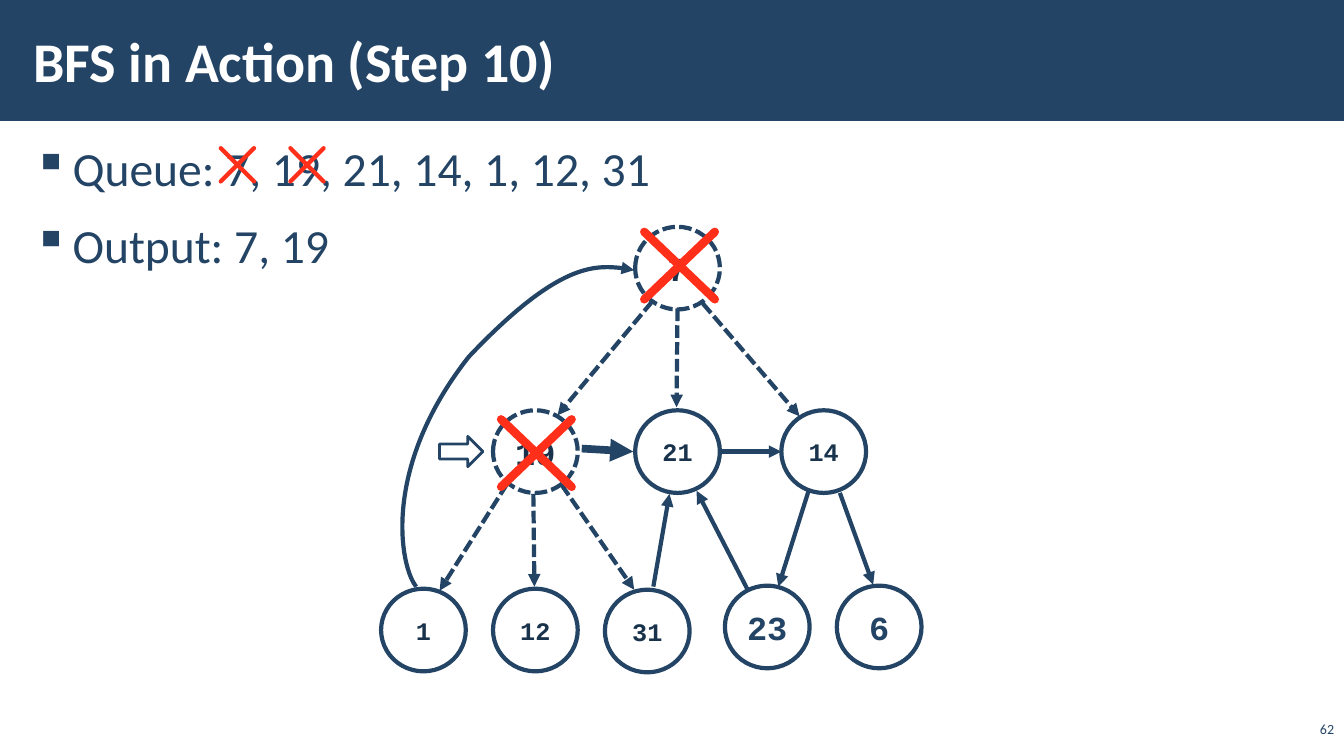
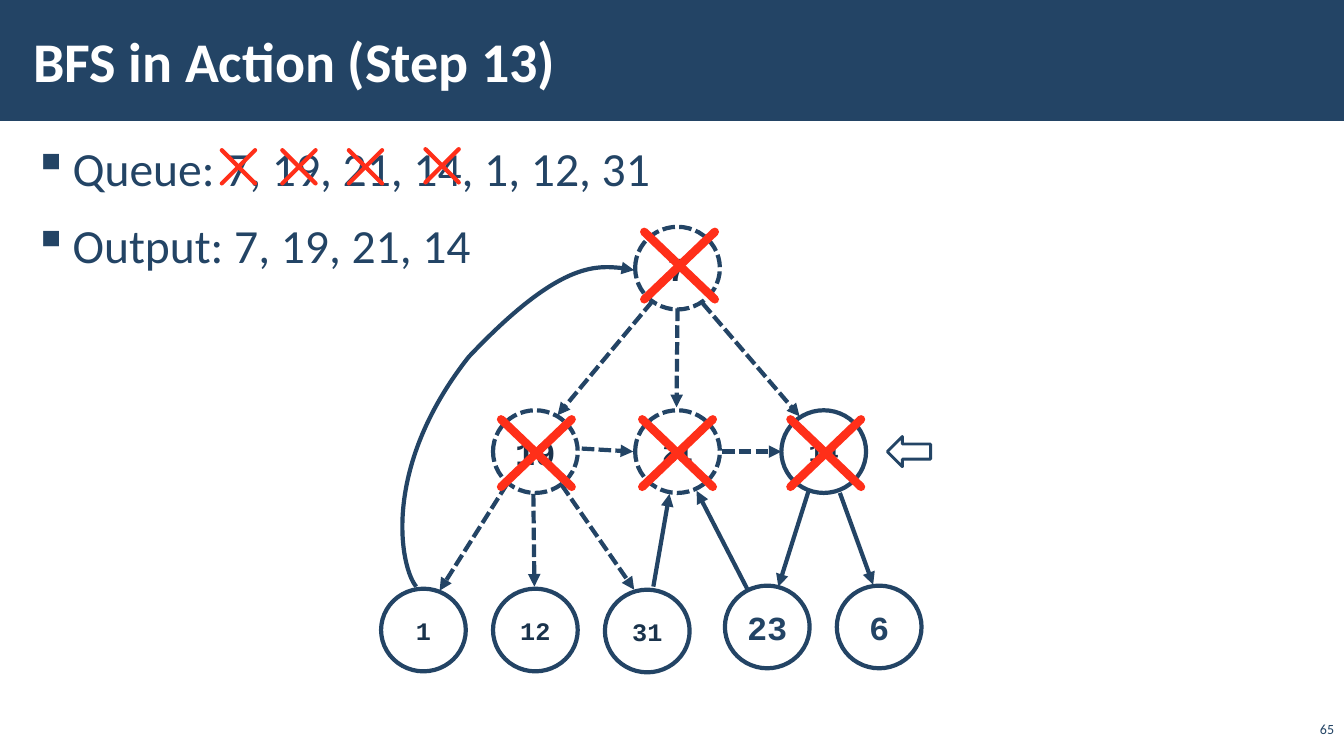
from lxml import etree
from pptx import Presentation
from pptx.dml.color import RGBColor
from pptx.enum.dml import MSO_LINE
from pptx.enum.shapes import MSO_CONNECTOR, MSO_SHAPE
from pptx.enum.text import MSO_ANCHOR, PP_ALIGN
from pptx.oxml.ns import qn
from pptx.util import Emu, Pt

PX = 9144  # 100 px to the inch
DASH = MSO_LINE.SQUARE_DOT
LINE = MSO_CONNECTOR.STRAIGHT
RECT, OVAL, ARROW = MSO_SHAPE.RECTANGLE, MSO_SHAPE.OVAL, MSO_SHAPE.RIGHT_ARROW
TOP, MID, LOW = MSO_ANCHOR.TOP, MSO_ANCHOR.MIDDLE, MSO_ANCHOR.BOTTOM
LEFT, MIDDLE, RIGHT = PP_ALIGN.LEFT, PP_ALIGN.CENTER, PP_ALIGN.RIGHT

COLORS = {"navy": "234465", "ink": "1A334C", "red": "FF2F19", "white": "FFFFFF"}

# Text styles
FONTS = {
    "title": {"name": "Calibri", "size": Pt(40), "bold": True},
    "body": {"name": "Calibri", "size": Pt(34)},
    "number": {"name": "Calibri", "size": Pt(10)},
    "big": {"name": "Courier New", "size": Pt(24), "bold": True},
    "small": {"name": "Courier New", "size": Pt(18), "bold": True},
}
BULLET = {"line_spacing": 1.05, "space_before": Pt(6), "space_after": Pt(6)}
INSET = {"margin_left": 12, "margin_right": 12, "margin_top": 4, "margin_bottom": 4}

# Graph: label -> left, top, font, font colour, opacity
NODES = {
    "7": (630, 225, "big", "ink", 70),
    "19": (489, 407, "big", "ink", 70),
    "21": (630, 407, "small", "ink", 70),
    "14": (775, 407, "small", "ink", 70),
    "1": (378, 584, "small", "ink", 70),
    "12": (489, 584, "small", "ink", 70),
    "31": (600, 585, "small", "ink", 70),
    "23": (719, 581, "big", "navy", 50),
    "6": (830, 581, "big", "navy", 50),
}
NODE_W, NODE_H = 84, 82
# Edge: from, to, x1, y1, x2, y2
EDGES = [
    ("7", "19", 647, 299, 553, 412),
    ("7", "21", 672, 306, 671, 404),
    ("7", "14", 697, 301, 793, 413),
    ("19", "1", 503, 480, 436, 586),
    ("19", "12", 529, 490, 530, 582),
    ("19", "31", 557, 481, 629, 585),
    ("19", "21", 577, 445, 628, 448),
    ("21", "14", 716, 448, 775, 448),
    ("14", "23", 802, 487, 772, 582),
    ("14", "6", 833, 489, 866, 580),
    ("31", "21", 648, 582, 664, 490),
    ("23", "21", 741, 584, 691, 487),
]
# Back edge from 1 to 7: start, then three points for each Bezier part
CURVE = [(413, 582), (398, 565), (376, 467), (465, 354),
         (554, 260), (604, 262), (629, 268)]
# Corner of the cross over each node
MARKS = {"7": (639, 230), "19": (497, 416), "21": (637, 416), "14": (784, 416)}

STEPS = [
    {"title": "BFS in Action (Step 10)", "page": "62",
     "lines": ["Queue: 7, 19, 21, 14, 1, 12, 31", "Output: 7, 19"],
     "struck": [(219, 147), (288, 147)],
     "seen": ["7", "19"], "done": ["7", "19"],
     "bold": ("19", "21"), "hand": (436, 0)},
    {"title": "BFS in Action (Step 13)", "page": "65",
     "lines": ["Queue: 7, 19, 21, 14, 1, 12, 31", "Output: 7, 19, 21, 14"],
     "struck": [(220, 149), (280, 149), (346, 149), (422, 148)],
     "seen": ["7", "19", "21"], "done": ["7", "19", "21", "14"],
     "bold": None, "hand": (880, 180)},
]


def px(*vals):
    return [Emu(v * PX) for v in vals]


def rgb(name):
    return RGBColor.from_string(COLORS[name])


def assign(item, vals):
    for key, val in vals.items():
        setattr(item, key, val)


def sub(node, tag, **attrs):
    return etree.SubElement(node, qn(tag), attrs)


def stroke(item, color, width, dash=False, head=False, cap=None):
    line = item.line
    line.color.rgb = rgb(color)
    line.width = Pt(width)
    if dash:
        line.dash_style = DASH
    ln = item._element.spPr.find(qn("a:ln"))
    if cap:
        ln.set("cap", cap)
    if head:
        sub(ln, "a:tailEnd", type="triangle")


def write(frame, lines, font, color, align=LEFT, anchor=TOP, wrap=True):
    frame.word_wrap, frame.vertical_anchor = wrap, anchor
    for i, text in enumerate(lines):
        para = frame.paragraphs[0] if i == 0 else frame.add_paragraph()
        para.alignment = align
        run = para.add_run()
        run.text = text
        assign(run.font, FONTS[font])
        run.font.color.rgb = rgb(color)


def label(slide, box, lines, font, color, inset=None, **opts):
    frame = slide.shapes.add_textbox(*px(*box)).text_frame
    assign(frame, {key: Emu(val * PX) for key, val in (inset or {}).items()})
    write(frame, lines, font, color, **opts)
    return frame


def shape(slide, kind, box, fill, alpha=100):
    item = slide.shapes.add_shape(kind, *px(*box))
    item.shadow.inherit = False
    item.fill.solid()
    item.fill.fore_color.rgb = rgb(fill)
    if alpha < 100:
        tone = item._element.spPr.find(qn("a:solidFill"))[0]
        sub(tone, "a:alpha", val=str(alpha * 1000))
    return item


def link(slide, ends, color, width, **opts):
    item = slide.shapes.add_connector(LINE, *px(*ends))
    stroke(item, color, width, **opts)
    sub(item._element.spPr, "a:effectLst")


def cross(slide, x, y, w, h, width):
    for x1, x2 in ((x, x + w), (x + w, x)):
        link(slide, (x1, y, x2, y + h), "red", width, cap="rnd")


def curve(slide):
    form = slide.shapes.build_freeform(*CURVE[0], scale=PX)
    form.add_line_segments(CURVE[1:], close=False)
    item = form.convert_to_shape()
    item.shadow.inherit = False
    item.fill.background()
    stroke(item, "navy", 3, head=True)
    # Turn each three points into one Bezier part
    parts = list(item._element.iter(qn("a:lnTo")))
    for i in range(0, len(parts), 3):
        bezier = sub(parts[i].getparent(), "a:cubicBezTo")
        for part in parts[i:i + 3]:
            bezier.append(part[0])
            part.getparent().remove(part)


def base(slide, step):
    # Band, title, bullets and page number
    shape(slide, RECT, (0, 0, 1334, 120), "navy").line.fill.background()
    frame = label(slide, (21, 131, 1292, 605), step["lines"], "body", "navy", INSET)
    for para in frame.paragraphs:
        assign(para, BULLET)
        props = para._p.get_or_add_pPr()
        props.set("marL", str(39 * PX))
        props.set("indent", str(-39 * PX))
        sub(props, "a:buChar", char="▪")
    label(slide, (21, 11, 1063, 97), [step["title"]], "title", "white", INSET, anchor=MID)
    label(slide, (1286, 714, 47, 22), [step["page"]], "number", "navy",
          align=RIGHT, anchor=LOW)


def graph(slide, step):
    for name, (x, y, font, color, alpha) in NODES.items():
        node = shape(slide, OVAL, (x, y, NODE_W, NODE_H), "white", alpha)
        stroke(node, "navy", 3, dash=name in step["seen"])
        write(node.text_frame, [name], font, color, MIDDLE, MID, False)
    for start, end, *ends in EDGES:
        bold = (start, end) == step["bold"]
        link(slide, ends, "navy", 5.5 if bold else 3,
             dash=start in step["seen"] and not bold, head=True)
    curve(slide)
    for name in step["done"]:
        cross(slide, *MARKS[name], 70, 67, 6)


def build(deck, step):
    slide = deck.slides.add_slide(deck.slide_layouts[6])
    base(slide, step)
    for x, y in step["struck"]:
        cross(slide, x, y, 33, 33, 3)
    graph(slide, step)
    # Pointer to the current node
    x, turn = step["hand"]
    hand = shape(slide, ARROW, (x, 433, 43, 30), "white", 50)
    stroke(hand, "navy", 2)
    hand.rotation = turn


def main():
    deck = Presentation()
    deck.slide_width, deck.slide_height = px(1333, 750)
    for step in STEPS:
        build(deck, step)
    deck.save("out.pptx")


if __name__ == "__main__":
    main()
